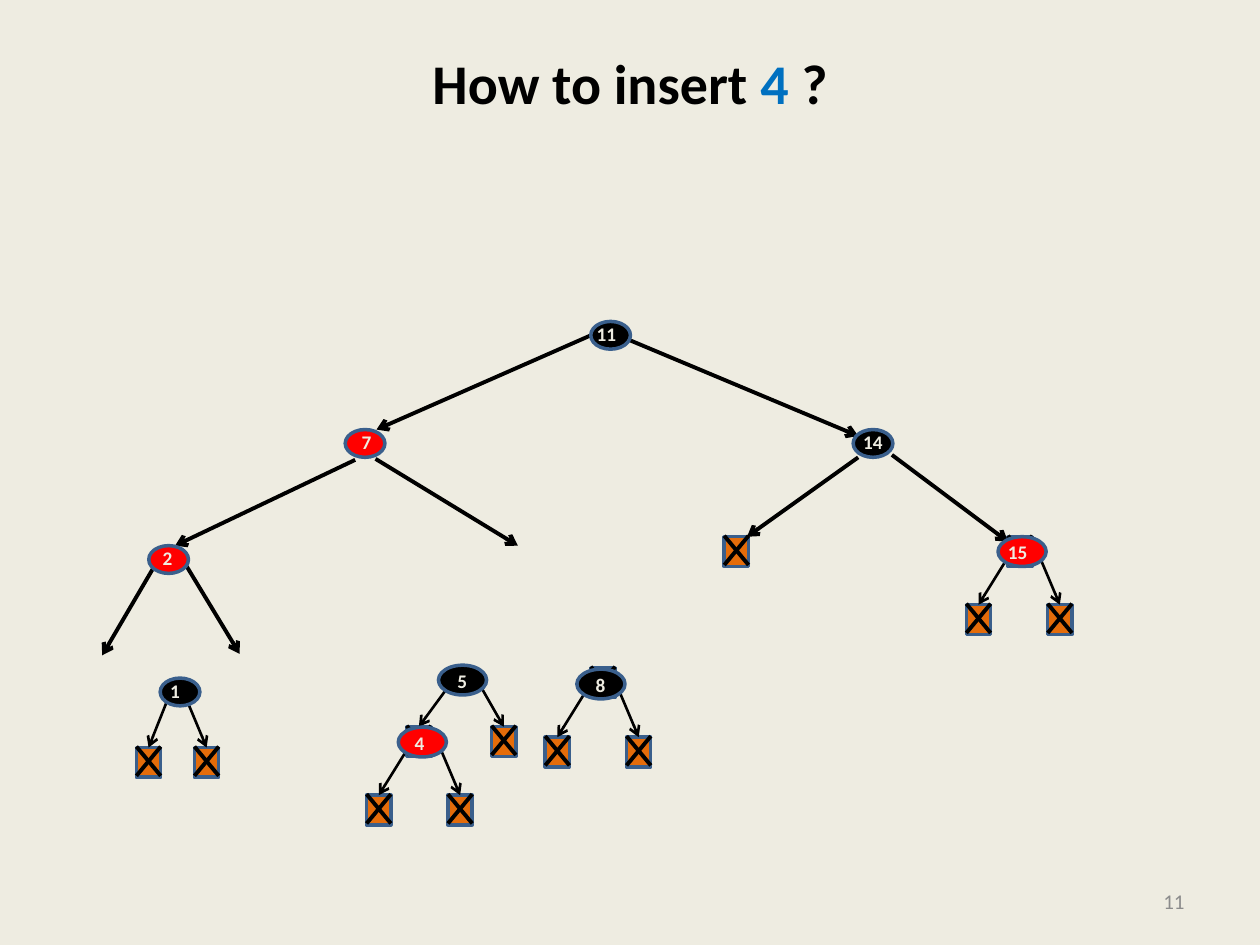
import pptx
import pptx.dml.color
import pptx.enum.shapes
import pptx.enum.text
import pptx.oxml.ns
import pptx.util
from lxml import etree
from pptx.util import Cm

FONT = "Calibri"
BLACK, RED, BLUE, GREY = "000000", "FF0000", "0070C0", "8C8C8C"
CREAM, ORANGE, OUTLINE = "EEECE1", "E46C0A", "3A5F8C"

# All lengths are in centimetres
SMALL, LARGE = (0.8, 0.56), (0.97, 0.6)
LEAF_WIDTH, LEAF_HEIGHT = 0.49, 0.6

# Number, fill, left, top, size, label shift
NODES = [
    ("11", BLACK, 11.91, 6.48, SMALL, -0.13),
    ("7", RED, 6.96, 8.66, SMALL, 0.08),
    ("14", BLACK, 17.2, 8.66, SMALL, -0.05),
    ("2", RED, 3, 11, SMALL, 0.03),
    ("15", RED, 20.12, 10.82, LARGE, -0.05),
    ("1", BLACK, 3.23, 13.67, SMALL, -0.05),
    ("5", BLACK, 8.84, 13.41, LARGE, 0.13),
    ("4", RED, 8.03, 14.66, LARGE, 0.08),
    ("8", BLACK, 11.63, 13.49, LARGE, 0.13),
]

# Arrow starts and leaf corners, measured from the node's top left
LARGE_STARTS = [(0.14, 0.51), (0.84, 0.41)]
LARGE_LEAVES = [(-0.64, 1.37), (1, 1.37)]
BRANCHES = {
    "1": ([(0.15, 0.43), (0.53, 0.43)], [(-0.48, 1.4), (0.69, 1.4)]),
    "5": (LARGE_STARTS, [(-0.64, 1.24), (1.07, 1.24)]),
    "4": (LARGE_STARTS, LARGE_LEAVES),
    "8": (LARGE_STARTS, LARGE_LEAVES),
    "15": (LARGE_STARTS, LARGE_LEAVES),
}

# The last two leaves lie behind the nodes 15 and 8
SINGLE_LEAVES = [(14.6, 10.82), (20.32, 10.82), (11.91, 13.46)]

EDGES = [
    (11.91, 6.76, 7.59, 8.66), (12.7, 6.86, 17.3, 8.79),
    (7.16, 9.27, 3.53, 11), (7.57, 9.25, 10.44, 11),
    (3.12, 11.4, 2.06, 13.21), (3.68, 11.28, 4.83, 13.18),
    (17.3, 9.22, 15.06, 10.82), (17.98, 9.17, 20.32, 10.92),
]


def colour(value):
    return pptx.dml.color.RGBColor.from_string(value)


def add_text(slide, box, runs, size, bold=False, align="LEFT", anchor="TOP"):
    """Add a one-paragraph text box; runs are (text, colour) pairs."""
    shape = slide.shapes.add_textbox(*map(Cm, box))
    text_frame = shape.text_frame
    text_frame.word_wrap = True
    text_frame.vertical_anchor = pptx.enum.text.MSO_ANCHOR[anchor]
    paragraph = text_frame.paragraphs[0]
    paragraph.alignment = pptx.enum.text.PP_ALIGN[align]
    for text, run_colour in runs:
        run = paragraph.add_run()
        run.text = text
        run.font.name = FONT
        run.font.size = pptx.util.Pt(size)
        run.font.bold = bold
        run.font.color.rgb = colour(run_colour)
    return text_frame


def add_outlined(slide, kind, left, top, width, height, fill):
    shape = slide.shapes.add_shape(
        pptx.enum.shapes.MSO_SHAPE[kind], Cm(left), Cm(top), Cm(width), Cm(height))
    shape.shadow.inherit = False
    shape.fill.solid()
    shape.fill.fore_color.rgb = colour(fill)
    shape.line.color.rgb = colour(OUTLINE)
    shape.line.width = pptx.util.Pt(2)
    return shape


def add_line(slide, x1, y1, x2, y2, width=2.25, arrow=False):
    line = slide.shapes.add_connector(
        pptx.enum.shapes.MSO_CONNECTOR.STRAIGHT, Cm(x1), Cm(y1), Cm(x2), Cm(y2))
    line.line.color.rgb = colour(BLACK)
    line.line.width = pptx.util.Pt(width)
    if arrow:
        etree.SubElement(line.line._get_or_add_ln(),
                         pptx.oxml.ns.qn("a:tailEnd"), type="arrow")
    etree.SubElement(line._element.spPr, pptx.oxml.ns.qn("a:effectLst"))
    return line


def add_leaf(slide, left, top):
    """Add an empty leaf: a square with a cross."""
    leaf = add_outlined(slide, "RECTANGLE", left, top, LEAF_WIDTH, LEAF_HEIGHT, ORANGE)
    right, upper, lower = left + LEAF_WIDTH, top - 0.02, top + 0.57
    add_line(slide, right, upper, left, lower)
    add_line(slide, left, upper, right, lower)
    return leaf


def add_branches(slide, left, top, starts, leaves):
    """Add the two leaves below a node and the arrows to them."""
    for (start_x, start_y), (leaf_x, leaf_y) in zip(starts, leaves):
        leaf = add_leaf(slide, left + leaf_x, top + leaf_y)
        arrow = add_line(slide, left + start_x, top + start_y,
                         left + leaf_x, top + leaf_y, 1.5, arrow=True)
        arrow.end_connect(leaf, 0)


def add_node(slide, number, fill, left, top, size, label_shift):
    add_outlined(slide, "OVAL", left, top, *size, fill)
    if size == LARGE:
        label_width, rise = 1.09, 0.05
    else:
        label_width, rise = (0.91 if len(number) > 1 else 0.71), 0.11
    text_frame = add_text(slide, (left + label_shift, top - rise, label_width, 0.74),
                          [(number, CREAM)], 11, bold=True)
    text_frame.word_wrap = size == LARGE
    text_frame.auto_size = pptx.enum.text.MSO_AUTO_SIZE.SHAPE_TO_FIT_TEXT


def main():
    presentation = pptx.Presentation()
    presentation.slide_width, presentation.slide_height = Cm(25.4), Cm(19.05)
    slide = presentation.slides.add_slide(presentation.slide_layouts[6])
    slide.background.fill.solid()
    slide.background.fill.fore_color.rgb = colour(CREAM)

    # Title and slide number
    title = add_text(slide, (1.27, 0.76, 22.86, 3.18),
                     [("How to insert ", BLACK), ("4 ", BLUE), ("?", BLACK)],
                     32, bold=True, align="CENTER", anchor="MIDDLE")
    title.margin_bottom = Cm(1.5)
    add_text(slide, (18.21, 17.65, 5.92, 1.02), [("11", GREY)], 12,
             align="RIGHT", anchor="MIDDLE")

    # Tree, from the leaves and edges up to the nodes
    for left, top in SINGLE_LEAVES:
        add_leaf(slide, left, top)
    for edge in EDGES:
        add_line(slide, *edge, arrow=True)
    for number, fill, left, top, size, label_shift in NODES:
        if number in BRANCHES:
            add_branches(slide, left, top, *BRANCHES[number])
        add_node(slide, number, fill, left, top, size, label_shift)

    presentation.save("out.pptx")


if __name__ == "__main__":
    main()
